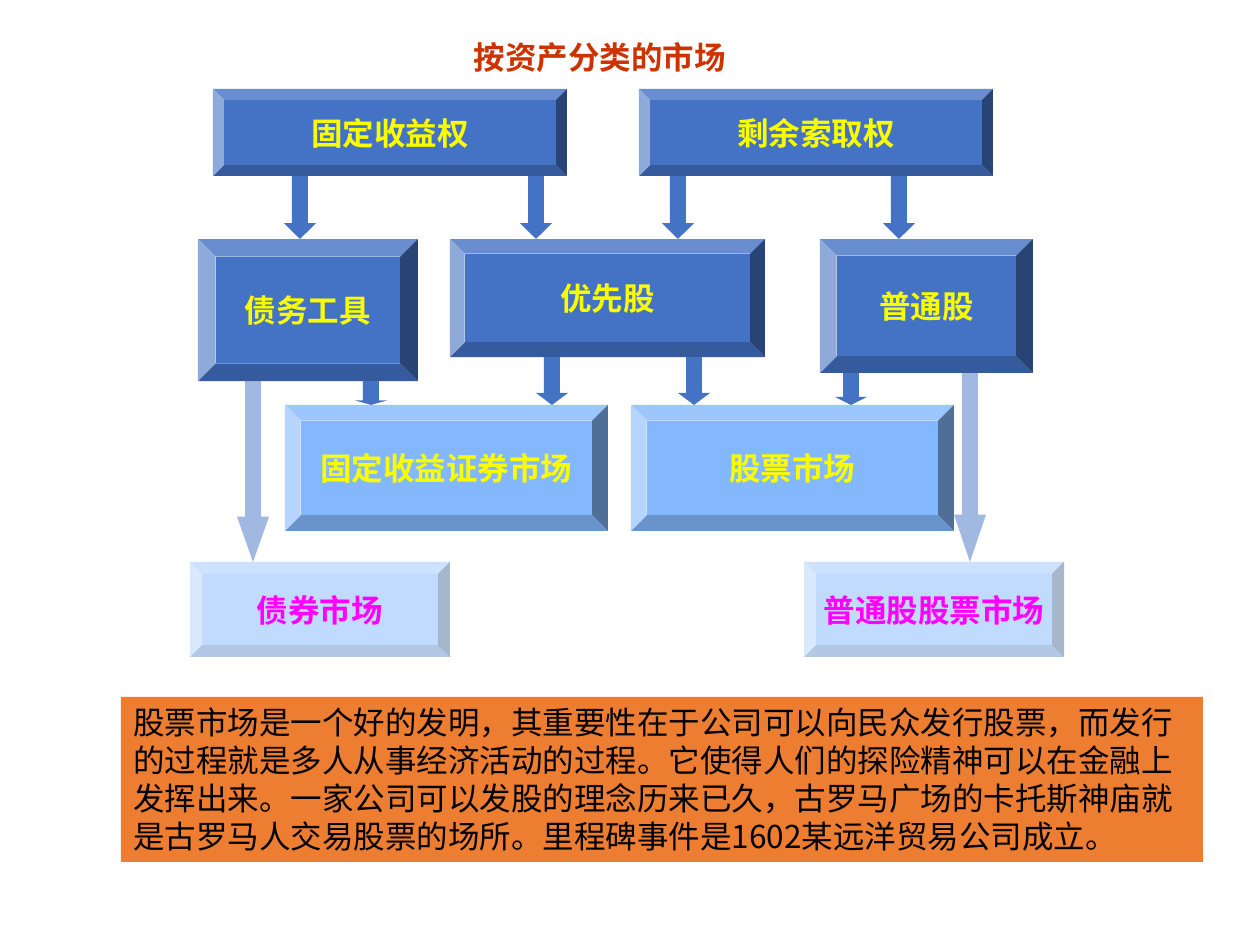
"""Build a slide that sorts markets by the assets traded in them."""
from lxml import etree
from pptx import Presentation, util as u
from pptx.dml.color import RGBColor
from pptx.enum import lang, shapes, text
from pptx.oxml import ns

PX = 914400 / 126
LATIN, HAN = "Times New Roman", "Noto Sans CJK SC"
HEX = {"blue": "4472C4", "sky": "84B8FE", "orange": "ED7D31", "yellow": "FAFD00",
       "pink": "FF00FF", "red": "CC3300", "black": "000000"}

TITLE = "按资产分类的市场"
NOTE = ("股票市场是一个好的发明，其重要性在于公司可以向民众发行股票，"
        "而发行的过程就是多人从事经济活动的过程。"
        "它使得人们的探险精神可以在金融上发挥出来。"
        "一家公司可以发股的理念历来已久，"
        "古罗马广场的卡托斯神庙就是古罗马人交易股票的场所。"
        "里程碑事件是1602某远洋贸易公司成立。")

# Each row: top, fill, alpha, text colour, then boxes of label, left, width, height
ROWS = [
    (89, "blue", 100, "yellow", [("固定收益权", 213, 354, 87), ("剩余索取权", 639, 354, 87)]),
    (239, "blue", 100, "yellow", [("债务工具", 198, 220, 142), ("优先股", 450, 315, 118),
                                  ("普通股", 820, 213, 134)]),
    (405, "sky", 100, "yellow", [("固定收益证券市场", 285, 323, 126), ("股票市场", 631, 323, 126)]),
    (562, "sky", 50, "pink", [("债券市场", 190, 260, 95), ("普通股股票市场", 804, 260, 95)]),
]
ARROWS = [
    ("固定收益权", "债务工具", 300, 100), ("固定收益权", "优先股", 536, 100),
    ("剩余索取权", "优先股", 678, 100), ("剩余索取权", "普通股", 899, 100),
    ("债务工具", "固定收益证券市场", 371, 100), ("优先股", "固定收益证券市场", 552, 100),
    ("优先股", "股票市场", 694, 100), ("普通股", "股票市场", 851, 100),
    ("债务工具", "债券市场", 253, 50), ("普通股", "普通股股票市场", 970, 50),
]
WIDE = 32


def emu(*vals):
    return [round(v * PX) for v in vals]


def draw(kind, box, fill, alpha=100):
    shape = slide.shapes.add_shape(kind, *emu(*box))
    shape.shadow.inherit = False
    shape.line.fill.background()
    shape.fill.solid()
    shape.fill.fore_color.rgb = RGBColor.from_string(HEX[fill])
    if alpha < 100:
        tone = shape.fill._xPr.find(".//" + ns.qn("a:srgbClr"))
        etree.SubElement(tone, ns.qn("a:alpha")).set("val", str(alpha * 1000))
    return shape


def write(shape, words, color, face=LATIN, bold=True, wrap=True,
          align=text.PP_ALIGN.CENTER, anchor=text.MSO_ANCHOR.TOP):
    frame = shape.text_frame
    frame.word_wrap = wrap
    frame.vertical_anchor = anchor
    para = frame.paragraphs[0]
    para.alignment = align
    para.line_spacing = u.Pt(21.7)
    run = para.add_run()
    run.text = words
    font = run.font
    font.name, font.size, font.bold = face, u.Pt(18), bold
    font.color.rgb = RGBColor.from_string(HEX[color])
    font.language_id = lang.MSO_LANGUAGE_ID.SIMPLIFIED_CHINESE
    latin = font._element.find(ns.qn("a:latin"))
    east = etree.Element(ns.qn("a:ea"))
    east.set("typeface", HAN)
    latin.addnext(east)


deck = Presentation()
deck.slide_width, deck.slide_height = u.Inches(10), u.Inches(7.5)
slide = deck.slides.add_slide(deck.slide_layouts[6])

edges = {}
for top, fill, alpha, color, boxes in ROWS:
    for label, left, width, height in boxes:
        bevel = draw(shapes.MSO_SHAPE.BEVEL, (left, top, width, height), fill, alpha)
        write(bevel, label, color, wrap=False, anchor=text.MSO_ANCHOR.MIDDLE)
        edges[label] = top, top + height

for start, end, mid, alpha in ARROWS:
    top = edges[start][1]
    height = edges[end][0] - top
    arrow = draw(shapes.MSO_SHAPE.DOWN_ARROW, (mid - WIDE / 2, top, WIDE, height), "blue", alpha)
    arrow.adjustments[1] = height / WIDE / 4

title = slide.shapes.add_textbox(*emu(348, 32, 504, 50))
write(title, TITLE, "red")
note = draw(shapes.MSO_SHAPE.RECTANGLE, (121, 697, 1082, 165), "orange")
write(note, NOTE, "black", face=HAN, bold=False, align=text.PP_ALIGN.LEFT)

deck.save("out.pptx")
